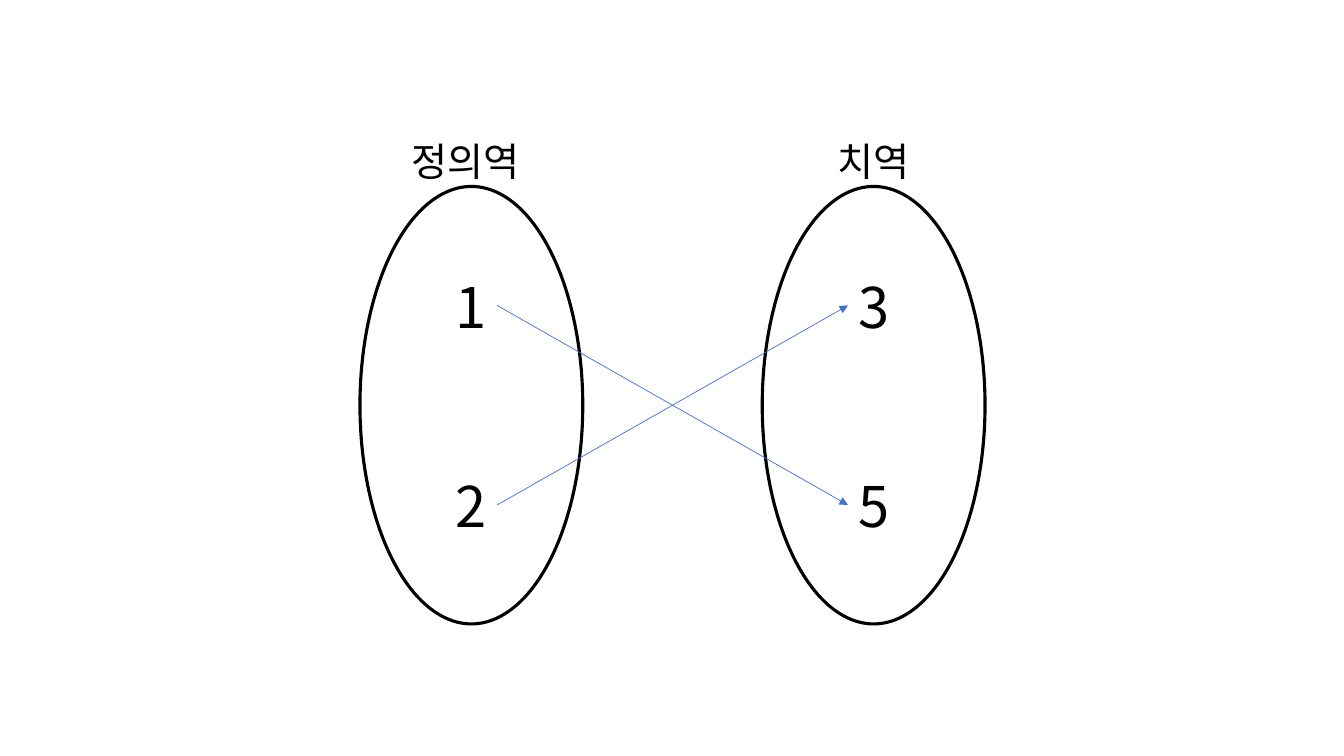
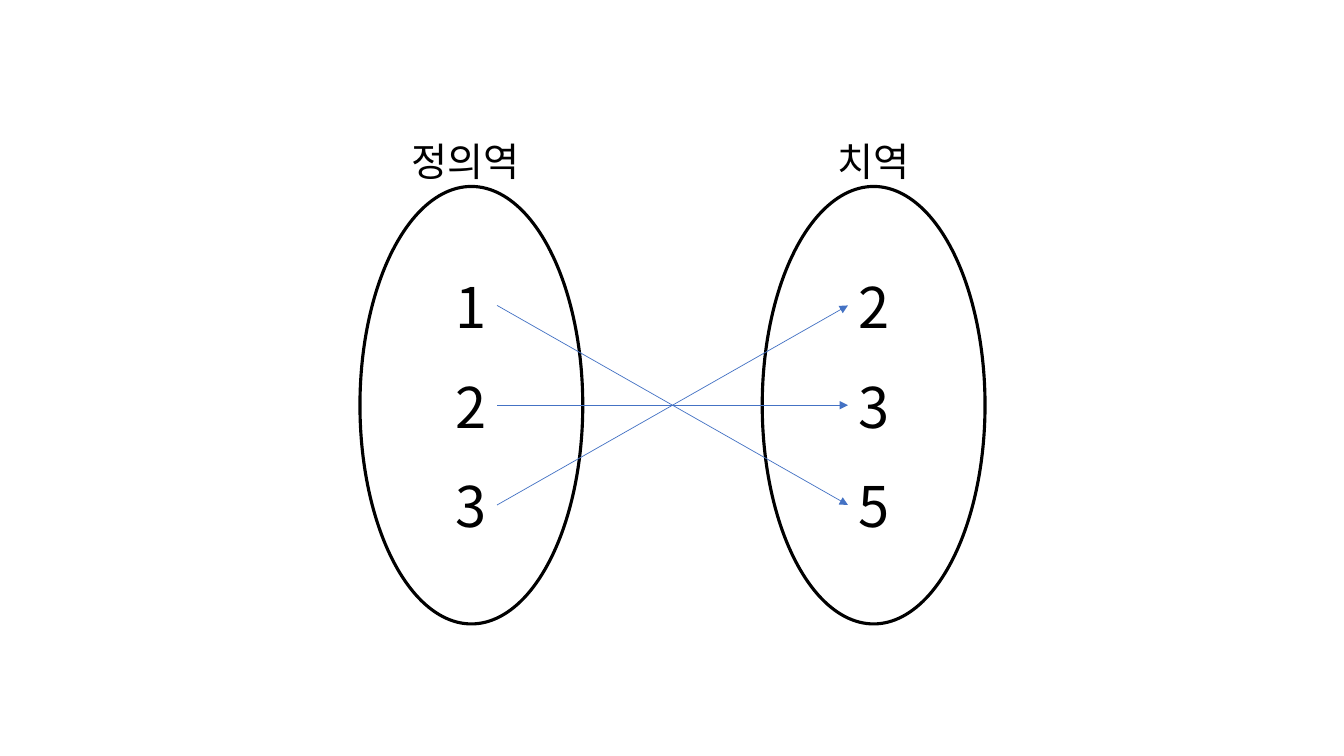
from lxml.etree import SubElement
from pptx import Presentation
from pptx.dml.color import RGBColor
from pptx.enum.shapes import MSO_CONNECTOR, MSO_SHAPE
from pptx.enum.text import MSO_ANCHOR, PP_ALIGN
from pptx.oxml.ns import qn
from pptx.util import Pt

PX = 9144
FONT = "Noto Sans CJK KR"
BLACK = RGBColor(0x00, 0x00, 0x00)
BLUE = RGBColor(0x44, 0x72, 0xC4)

DOMAIN_LEFT, CODOMAIN_LEFT = 357, 756
OVAL_TOP, OVAL_WIDTH, OVAL_HEIGHT = 185, 221, 434
LABEL_TOP, LABEL_HEIGHT = 131, 57
NUMBER_INSET, NUMBER_WIDTH, NUMBER_HEIGHT = 85, 51, 77
MIDDLE_ROW = OVAL_TOP + OVAL_HEIGHT // 2
ROW_PITCH = 99
TOP, MIDDLE, BOTTOM = (MIDDLE_ROW + step * ROW_PITCH for step in (-1, 0, 1))


def emu(*lengths):
    return [length * PX for length in lengths]


def add_text(slide, text, box, size, alignment):
    frame = slide.shapes.add_textbox(*emu(*box)).text_frame
    frame.word_wrap = True
    frame.margin_top = frame.margin_bottom = 0
    frame.vertical_anchor = MSO_ANCHOR.MIDDLE
    paragraph = frame.paragraphs[0]
    paragraph.alignment = alignment
    run = paragraph.add_run()
    run.text = text
    run.font.size = Pt(size)
    run.font.name = FONT
    run.font.color.rgb = BLACK
    SubElement(run.font._element, qn("a:ea"), typeface=FONT)


def add_set(slide, left, numbers):
    oval = slide.shapes.add_shape(
        MSO_SHAPE.OVAL, *emu(left, OVAL_TOP, OVAL_WIDTH, OVAL_HEIGHT))
    oval.shadow.inherit = False
    oval.fill.background()
    oval.line.color.rgb = BLACK
    oval.line.width = Pt(2.25)
    for row, number in numbers.items():
        box = (left + NUMBER_INSET, row - NUMBER_HEIGHT // 2,
               NUMBER_WIDTH, NUMBER_HEIGHT)
        add_text(slide, number, box, 40, PP_ALIGN.CENTER)


def add_arrow(slide, start_row, end_row):
    start = DOMAIN_LEFT + NUMBER_INSET + NUMBER_WIDTH
    end = CODOMAIN_LEFT + NUMBER_INSET
    arrow = slide.shapes.add_connector(
        MSO_CONNECTOR.STRAIGHT, *emu(start, start_row, end, end_row))
    arrow.line.color.rgb = BLUE
    arrow.line.width = Pt(0.5)
    SubElement(arrow.line._get_or_add_ln(), qn("a:tailEnd"), type="triangle")
    SubElement(arrow._element.spPr, qn("a:effectLst"))


def add_mapping(presentation, domain, codomain, arrows):
    slide = presentation.slides.add_slide(presentation.slide_layouts[6])
    add_set(slide, DOMAIN_LEFT, domain)
    add_set(slide, CODOMAIN_LEFT, codomain)
    add_text(slide, "정의역", (398, LABEL_TOP, 138, LABEL_HEIGHT), 28, PP_ALIGN.LEFT)
    add_text(slide, "치역", (817, LABEL_TOP, 99, LABEL_HEIGHT), 28, PP_ALIGN.CENTER)
    for start_row, end_row in arrows:
        add_arrow(slide, start_row, end_row)


def main():
    presentation = Presentation()
    presentation.slide_width, presentation.slide_height = emu(1333, 750)
    crossing = [(TOP, BOTTOM), (BOTTOM, TOP)]
    add_mapping(presentation, {TOP: "1", BOTTOM: "2"},
                {TOP: "3", BOTTOM: "5"}, crossing)
    add_mapping(presentation, {TOP: "1", MIDDLE: "2", BOTTOM: "3"},
                {TOP: "2", MIDDLE: "3", BOTTOM: "5"},
                crossing + [(MIDDLE, MIDDLE)])
    presentation.save("out.pptx")


if __name__ == "__main__":
    main()
